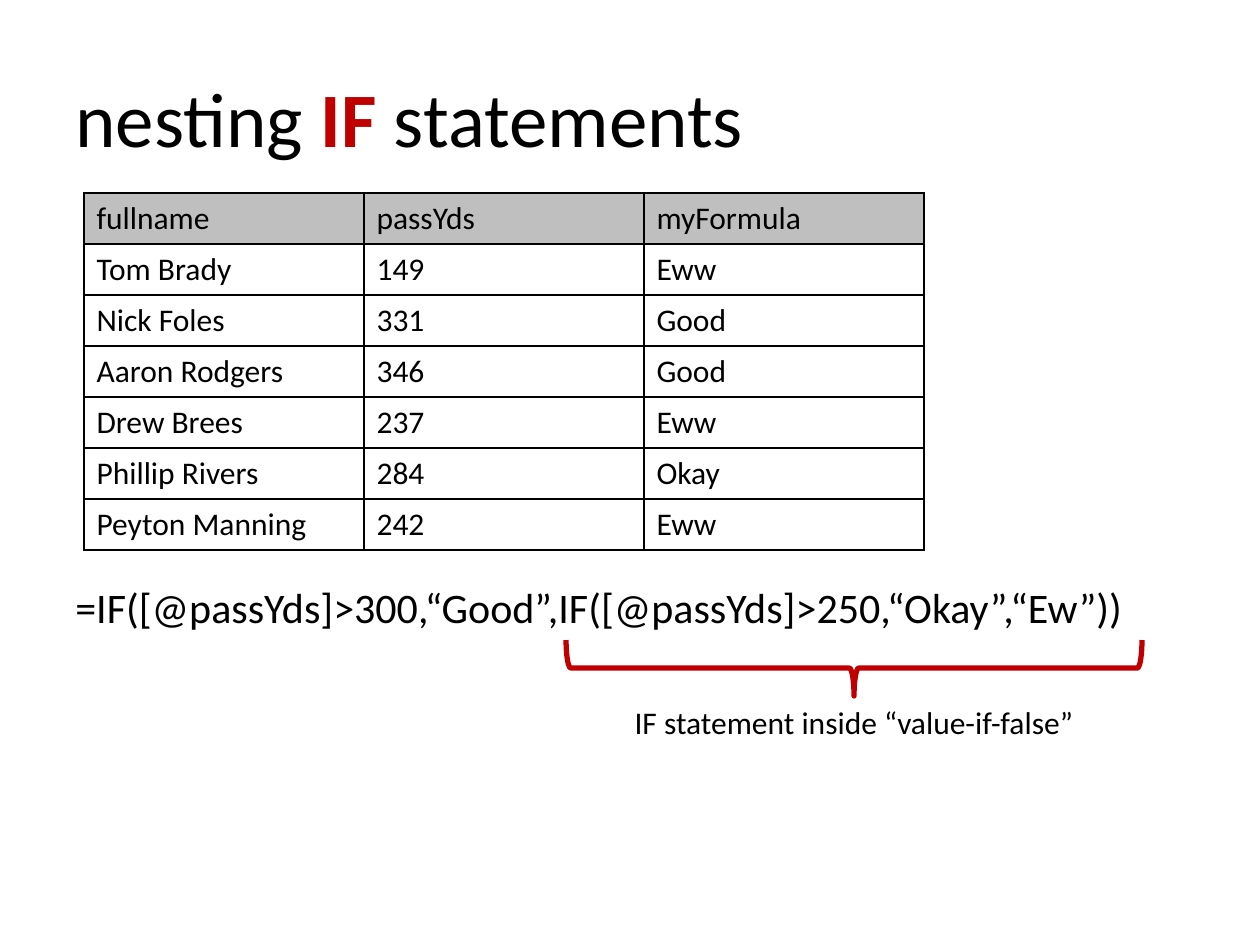
"""Builds a slide that explains nested IF statements."""
import pptx
import pptx.dml.color
import pptx.enum.shapes
import pptx.enum.text
import pptx.oxml
import pptx.oxml.ns
import pptx.util

SCALE = 914400 / 126
FONT = "Calibri"
BLACK, RED, GRAY, WHITE = "000000", "C00000", "BFBFBF", "FFFFFF"
COLUMN_WIDTH, ROW_HEIGHT = 280, 51
PLAYERS = [
    ("fullname", "passYds", "myFormula"),
    ("Tom Brady", "149", "Eww"),
    ("Nick Foles", "331", "Good"),
    ("Aaron Rodgers", "346", "Good"),
    ("Drew Brees", "237", "Eww"),
    ("Phillip Rivers", "284", "Okay"),
    ("Peyton Manning", "242", "Eww"),
]


def px(*lengths):
    """Turn picture pixels into a list of EMU lengths."""
    return [pptx.util.Emu(round(length * SCALE)) for length in lengths]


def color(value):
    """Turn a hex string into a colour."""
    return pptx.dml.color.RGBColor.from_string(value)


def format_span(span, size, value=BLACK, bold=False):
    """Set the font of one run."""
    span.font.name = FONT
    span.font.size = pptx.util.Pt(size)
    span.font.bold = bold
    span.font.color.rgb = color(value)


def add_text(page, place, spans, size, align=pptx.enum.text.PP_ALIGN.LEFT):
    """Add a one-paragraph text box from (text, colour, bold) spans."""
    frame = page.shapes.add_textbox(*px(*place)).text_frame
    frame.word_wrap = True
    frame.vertical_anchor = pptx.enum.text.MSO_ANCHOR.MIDDLE
    para = frame.paragraphs[0]
    para.alignment = align
    for text, value, bold in spans:
        span = para.add_run()
        span.text = text
        format_span(span, size, value, bold)


def add_borders(cell, value, width):
    """Draw a line on all four sides of a cell, ahead of its fill."""
    properties = cell._tc.get_or_add_tcPr()
    for index, side in enumerate(("lnL", "lnR", "lnT", "lnB")):
        line = pptx.oxml.parse_xml(
            f'<a:{side} {pptx.oxml.ns.nsdecls("a")} w="{pptx.util.Pt(width)}">'
            f'<a:solidFill><a:srgbClr val="{value}"/></a:solidFill></a:{side}>'
        )
        properties.insert(index, line)


def add_grid(page, left, top, rows):
    """Add a bordered table with a shaded first row."""
    columns = len(rows[0])
    place = px(left, top, columns * COLUMN_WIDTH, len(rows) * ROW_HEIGHT)
    table = page.shapes.add_table(len(rows), columns, *place).table
    table.horz_banding = False
    for row_index, row in enumerate(rows):
        for column_index, text in enumerate(row):
            cell = table.cell(row_index, column_index)
            cell.text = text
            format_span(cell.text_frame.paragraphs[0].runs[0], 18)
            cell.fill.solid()
            cell.fill.fore_color.rgb = color(WHITE if row_index else GRAY)
            add_borders(cell, BLACK, 1)


def add_brace(page, place):
    """Add a brace turned to point downwards."""
    kind = pptx.enum.shapes.MSO_SHAPE.RIGHT_BRACE
    brace = page.shapes.add_shape(kind, *px(*place))
    brace.rotation = 90
    brace.shadow.inherit = False
    brace.fill.background()
    brace.line.color.rgb = color(RED)
    brace.line.width = pptx.util.Pt(3)


def main():
    """Build and save the slide."""
    deck = pptx.Presentation()
    deck.slide_width, deck.slide_height = px(1260, 945)
    page = deck.slides.add_slide(deck.slide_layouts[6])
    title = [("nesting ", BLACK, False), ("IF ", RED, True), ("statements", BLACK, False)]
    formula = "=IF([@passYds]>300,“Good”,IF([@passYds]>250,“Okay”,“Ew”))"
    note = "IF statement inside “value-if-false”"
    add_text(page, (63, 38, 1134, 158), title, 44)
    add_grid(page, 84, 193, PLAYERS)
    add_text(page, (63, 575, 1134, 64), [(formula, BLACK, False)], 24)
    add_brace(page, (826, 380, 56, 576))
    add_text(page, (566, 696, 576, 51), [(note, BLACK, False)], 18,
             pptx.enum.text.PP_ALIGN.CENTER)
    deck.save("out.pptx")


main()
